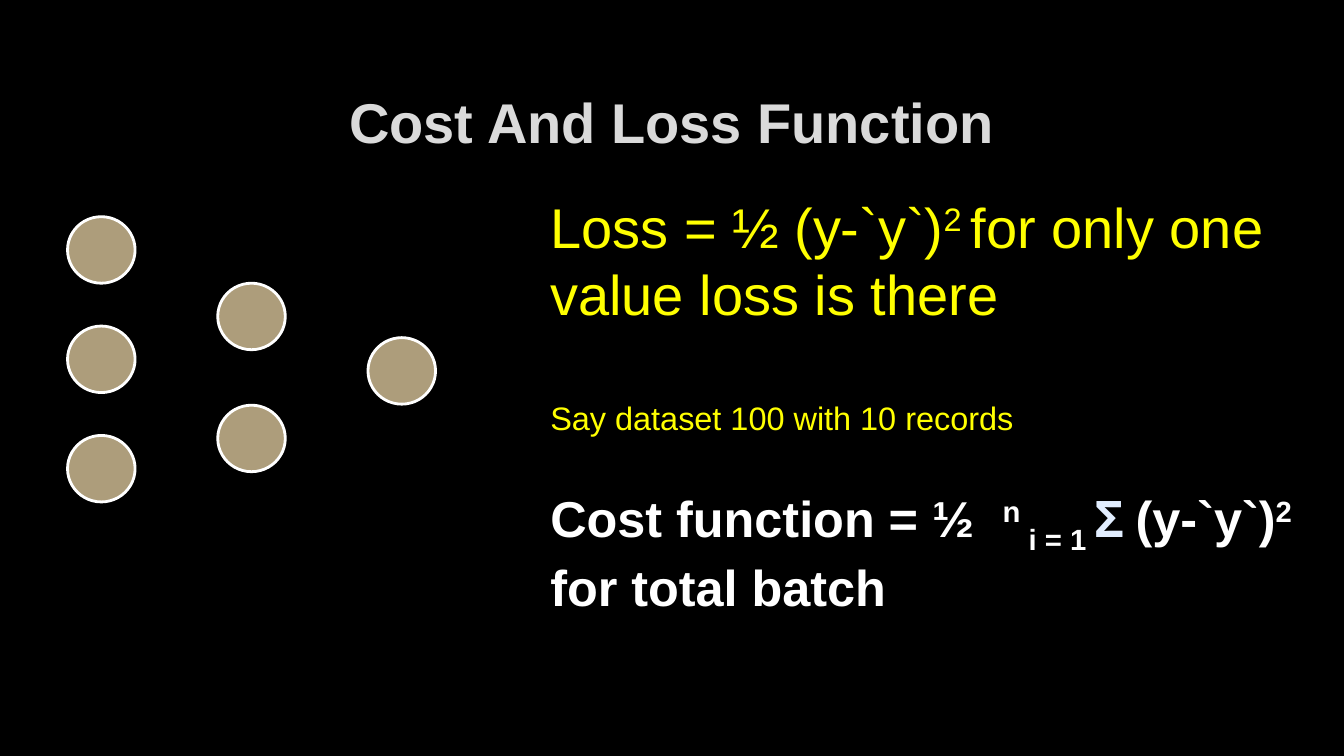
from lxml import etree
from pptx import Presentation
from pptx import util as u
from pptx.dml.color import RGBColor
from pptx.enum import shapes, text
from pptx.oxml import parse_xml
from pptx.oxml.ns import nsdecls, qn

BLACK = RGBColor(0, 0, 0)
WHITE = RGBColor(0xFF, 0xFF, 0xFF)
SILVER = RGBColor(0xDA, 0xDA, 0xDA)
YELLOW = RGBColor(0xFF, 0xFF, 0x00)
ICE = RGBColor(0xE2, 0xEE, 0xFF)
TAN = RGBColor(0xAD, 0x9D, 0x7B)

# Network grid in inches: one column per layer
LEFT, COL = 0.67, 1.49
NODE_W, NODE_H = 0.67, 0.66
# Each layer: top of the first node, step between nodes, node count
LAYERS = [(2.15, 1.085, 3), (2.81, 1.21, 2), (3.35, 0, 1)]


def add_run(p, words, size=40, color=YELLOW, bold=False, font="Arial",
            base=0, spacing=0):
    r = p.add_run()
    r.text = words
    f = r.font
    f.size, f.name, f.bold = u.Pt(size), font, bold
    f.color.rgb = color
    rpr = f._element
    if base:
        rpr.set("baseline", str(base * 1000))
    if spacing:
        rpr.set("spc", str(spacing * 100))
    return r


def add_box(s, left, top, width, height, anchor=text.MSO_ANCHOR.TOP):
    sp = s.shapes.add_textbox(*map(u.Inches, (left, top, width, height)))
    tf = sp.text_frame
    tf.word_wrap = True
    tf.vertical_anchor = anchor
    return tf


def add_node(s, left, top):
    sp = s.shapes.add_shape(shapes.MSO_SHAPE.OVAL, u.Inches(left),
                            u.Inches(top), u.Inches(NODE_W), u.Inches(NODE_H))
    sp.shadow.inherit = False
    sp.fill.solid()
    sp.fill.fore_color.rgb = TAN
    sp.line.color.rgb = WHITE
    sp.line.width = u.Pt(2)


def add_title(s):
    tf = add_box(s, 1, 0.67, 11.32, 1.06, text.MSO_ANCHOR.MIDDLE)
    p = tf.paragraphs[0]
    p.alignment = text.PP_ALIGN.CENTER
    r = add_run(p, "Cost And Loss Function", color=SILVER, bold=True)
    # Faint outline around the letters
    r.font._element.insert(0, parse_xml(
        f'<a:ln {nsdecls("a")} w="9525"><a:solidFill><a:srgbClr val="404040">'
        '<a:alpha val="10000"/></a:srgbClr></a:solidFill></a:ln>'))


def add_network(s):
    for i, (top, step, count) in enumerate(LAYERS):
        for j in range(count):
            add_node(s, LEFT + i * COL, top + j * step)


def add_formulas(s):
    tf = add_box(s, 5.36, 1.86, 7.86, 4.06)
    tf.auto_size = text.MSO_AUTO_SIZE.SHAPE_TO_FIT_TEXT

    # Loss of a single value
    p = tf.paragraphs[0]
    add_run(p, "Loss = ½ (y-`y`)")
    add_run(p, "2 ", base=30)
    add_run(p, "for only one value loss is there")

    # Example
    p = tf.add_paragraph()
    p.space_before = u.Pt(46)
    add_run(p, "Say dataset 100 with 10 records", base=30)

    # Cost of the batch
    p = tf.add_paragraph()
    p.space_before = u.Pt(20.7)
    bold = dict(size=36, color=WHITE, bold=True)
    add_run(p, "Cost function = ½", **bold)
    add_run(p, " ", spacing=10, **bold)
    add_run(p, "n ", base=30, **bold)
    add_run(p, "i = 1 ", base=-25, **bold)
    add_run(p, "Σ ", **{**bold, "color": ICE, "font": "Cabin"})
    add_run(p, "(y-`y`)", **bold)
    add_run(p, "2 ", base=30, **bold)
    add_run(p, "for total batch", **bold)


def main():
    prs = Presentation()
    prs.slide_width, prs.slide_height = u.Inches(13.33), u.Inches(7.5)
    s = prs.slides.add_slide(prs.slide_layouts[6])
    s.background.fill.solid()
    s.background.fill.fore_color.rgb = BLACK
    add_title(s)
    add_network(s)
    add_formulas(s)
    prs.save("out.pptx")


if __name__ == "__main__":
    main()
